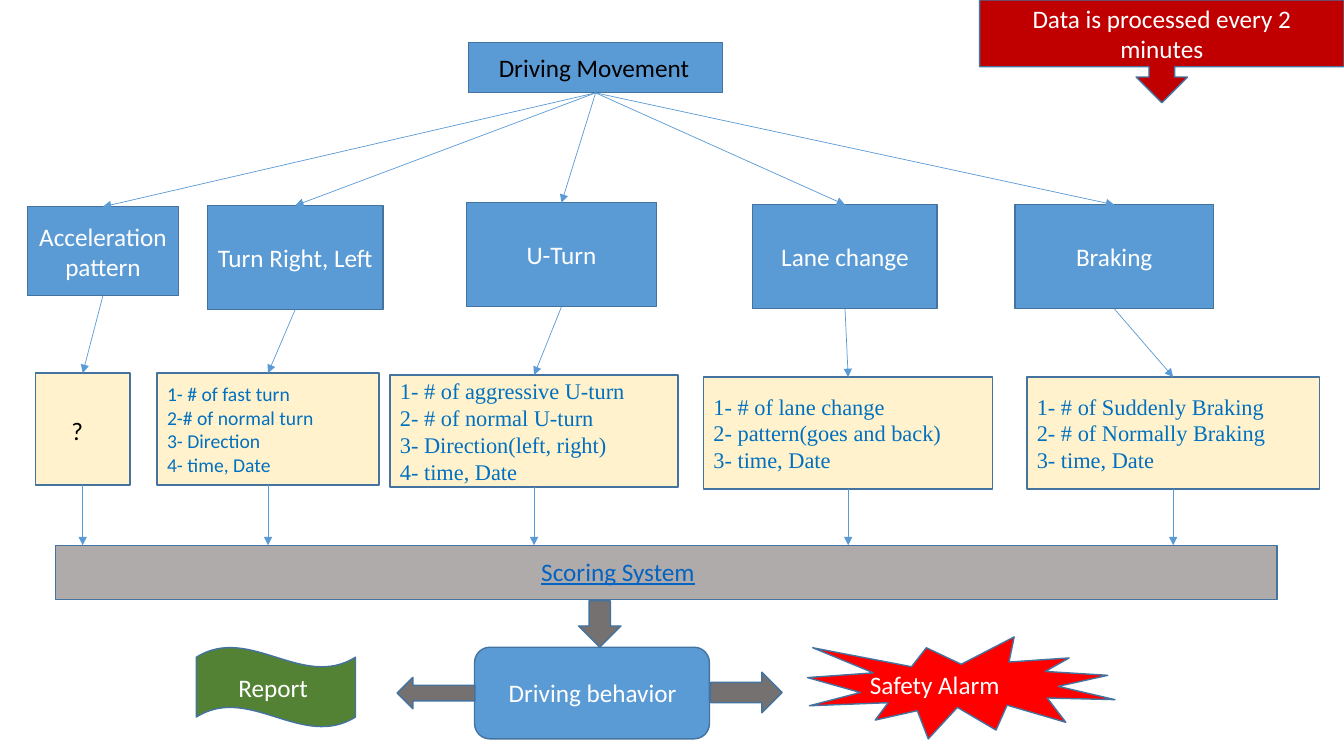
import pptx
import pptx.dml.color
import pptx.enum.shapes
import pptx.enum.text
import pptx.oxml.ns
import pptx.util
from lxml import etree
from pptx.util import Cm

COLORS = {
    "blue": "5B9BD5", "outline": "43739E", "cream": "FFF2CC", "list": "0070C0",
    "bar": "AFABAB", "arrow": "767171", "dark_red": "C00000", "red": "FF0000",
    "green": "548235", "white": "FFFFFF", "black": "000000", "link": "0563C1",
}
SHAPE = pptx.enum.shapes.MSO_SHAPE
ALIGN = pptx.enum.text.PP_ALIGN
TOP, BOTTOM = 0, 2

# Each branch: category text and box, then its details, font, size and box (cm)
BRANCHES = [
    ("Acceleration pattern", (0.69, 5.21, 3.81, 2.24),
     [], "Calibri", 18, (0.89, 9.4, 2.39, 2.82)),
    ("Turn Right, Left", (5.23, 5.18, 4.42, 2.62),
     ["1- # of fast turn", "2-# of normal turn", "3- Direction", "4- time, Date"],
     "Calibri", 14, (3.96, 9.4, 5.59, 2.82)),
    ("U-Turn", (11.76, 5.11, 4.78, 2.62),
     ["1- # of aggressive U-turn", "2- # of normal U-turn",
      "3- Direction(left, right)", "4- time, Date"],
     "Times New Roman", 16, (9.83, 9.45, 7.26, 2.82)),
    ("Lane change", (18.97, 5.16, 4.65, 2.62),
     ["1- # of lane change", "2- pattern(goes and back)", "3- time, Date"],
     "Times New Roman", 16, (17.73, 9.5, 7.29, 2.82)),
    ("Braking", (25.58, 5.16, 5, 2.62),
     ["1- # of Suddenly Braking", "2- # of Normally Braking", "3- time, Date"],
     "Times New Roman", 16, (25.88, 9.5, 7.37, 2.82)),
]


def rgb(color):
    return pptx.dml.color.RGBColor.from_string(COLORS[color])


def write(shape, lines, color, size=18, font="Calibri", align=ALIGN.LEFT):
    frame = shape.text_frame
    frame.word_wrap = True
    frame.text = "\n".join(lines)
    for paragraph in frame.paragraphs:
        paragraph.alignment = align
        paragraph.font.name = font
        paragraph.font.size = pptx.util.Pt(size)
        paragraph.font.color.rgb = rgb(color)


def add_box(slide, kind, box, fill, text=None):
    """Add an outlined preset shape, with centred white text if given."""
    shape = slide.shapes.add_shape(kind, *map(Cm, box))
    shape.shadow.inherit = False
    shape.fill.solid()
    shape.fill.fore_color.rgb = rgb(fill)
    shape.line.color.rgb = rgb("outline")
    shape.line.width = pptx.util.Pt(1)
    shape.text_frame.vertical_anchor = pptx.enum.text.MSO_ANCHOR.MIDDLE
    if text:
        write(shape, [text], "white", align=ALIGN.CENTER)
    return shape


def add_label(slide, text, left, top, width, color):
    label = slide.shapes.add_textbox(Cm(left), Cm(top), Cm(width), Cm(1.02))
    write(label, [text], color)
    return label


def add_arrow(slide, source, target, straight_down=False):
    """Link the bottom of source to the top of target."""
    x = source.left + source.width // 2
    arrow = slide.shapes.add_connector(
        pptx.enum.shapes.MSO_CONNECTOR.STRAIGHT,
        x, source.top + source.height, x, target.top)
    arrow.begin_connect(source, BOTTOM)
    if not straight_down:
        arrow.end_connect(target, TOP)
    arrow.line.color.rgb = rgb("blue")
    arrow.line.width = pptx.util.Pt(0.5)
    qn = pptx.oxml.ns.qn
    etree.SubElement(arrow.line._get_or_add_ln(), qn("a:tailEnd"), type="triangle")
    etree.SubElement(arrow._element.spPr, qn("a:effectLst"))


def add_branches(slide, root, scoring_bar):
    for category, category_box, details, font, size, detail_box in BRANCHES:
        category_shape = add_box(slide, SHAPE.RECTANGLE, category_box, "blue", category)
        detail_shape = add_box(slide, SHAPE.RECTANGLE, detail_box, "cream")
        if details:
            write(detail_shape, details, "list", size, font)
        add_arrow(slide, root, category_shape)
        add_arrow(slide, category_shape, detail_shape)
        add_arrow(slide, detail_shape, scoring_bar, straight_down=True)


def add_outcomes(slide):
    add_box(slide, SHAPE.ROUNDED_RECTANGLE, (11.96, 16.31, 5.92, 2.31), "blue")
    add_label(slide, "Driving behavior", 12.57, 16.94, 13.74, "white")
    add_box(slide, SHAPE.DOWN_ARROW, (14.58, 15.14, 1.07, 1.17), "arrow")
    add_box(slide, SHAPE.LEFT_ARROW, (10.01, 17.07, 1.96, 0.79), "arrow")
    add_box(slide, SHAPE.RIGHT_ARROW, (17.91, 16.94, 1.8, 1.02), "arrow")
    add_box(slide, SHAPE.WAVE, (4.95, 16.31, 4.01, 2.01), "green", "Report ")
    add_box(slide, SHAPE.EXPLOSION1, (20.35, 16.05, 7.75, 2.57), "red")
    add_label(slide, "Safety Alarm", 21.67, 16.74, 5.44, "white")


def main():
    presentation = pptx.Presentation()
    presentation.slide_width, presentation.slide_height = Cm(33.87), Cm(19.05)
    blank_layout = presentation.slide_layouts[6]
    slide = presentation.slides.add_slide(blank_layout)

    movement = add_box(slide, SHAPE.RECTANGLE, (11.81, 1.07, 6.4, 1.27), "blue")
    add_label(slide, "Driving Movement", 12.32, 1.19, 7.14, "black")
    scoring_bar = add_box(slide, SHAPE.RECTANGLE, (1.4, 13.74, 30.78, 1.37), "bar")
    scoring = add_label(slide, "Scoring System", 13.39, 13.89, 12.29, "link")
    scoring.text_frame.paragraphs[0].font.underline = True
    add_branches(slide, movement, scoring_bar)
    add_label(slide, "?", 1.55, 10.34, 1.24, "black")
    add_box(slide, SHAPE.DOWN_ARROW_CALLOUT, (24.69, 0, 9.18, 2.59), "dark_red",
            "Data is processed every 2 minutes")
    add_outcomes(slide)
    presentation.save("out.pptx")


if __name__ == "__main__":
    main()
